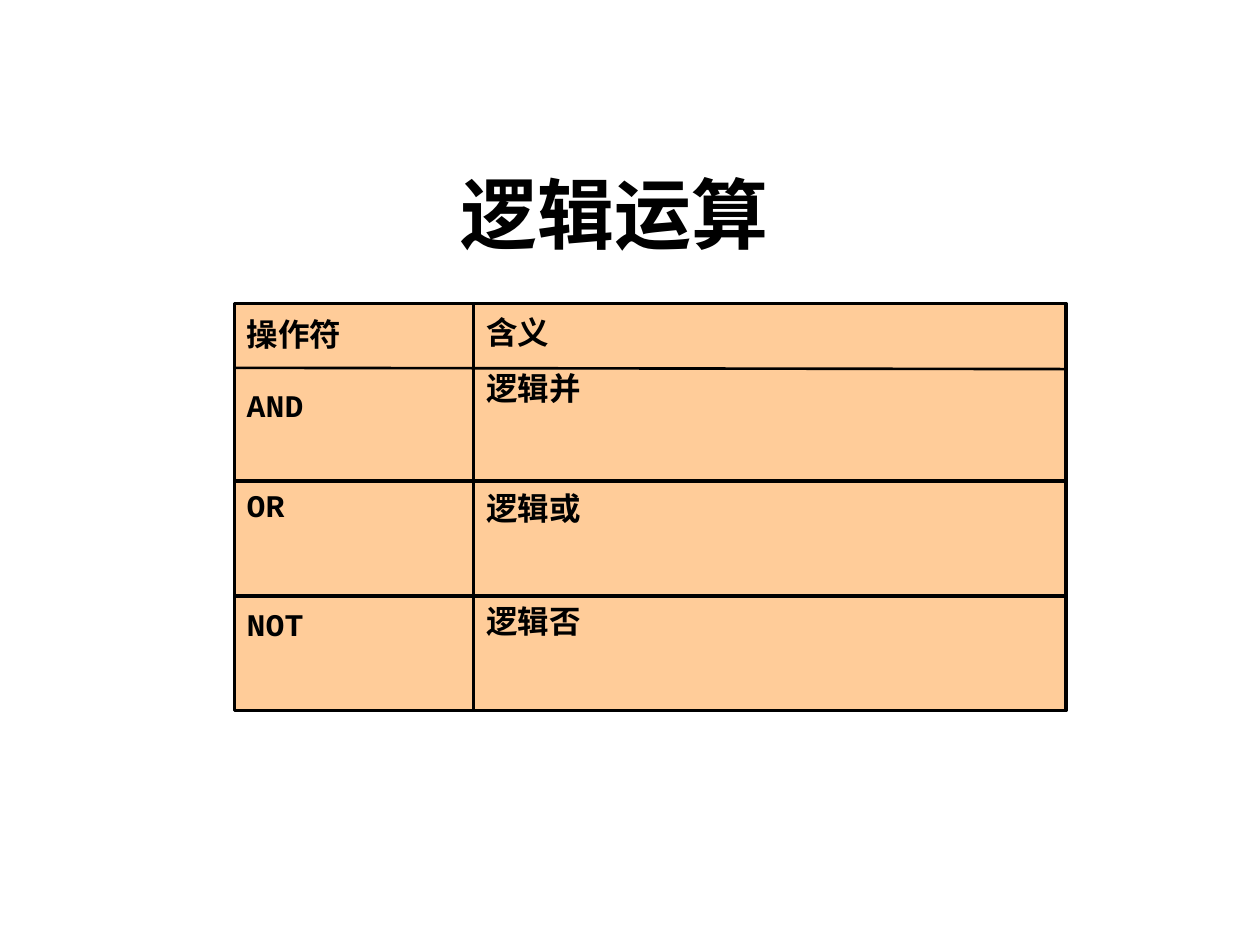
from dataclasses import dataclass

from lxml.etree import SubElement
from pptx import Presentation
from pptx.dml.color import RGBColor
from pptx.enum.shapes import MSO_CONNECTOR, MSO_SHAPE
from pptx.enum.text import MSO_ANCHOR, PP_ALIGN
from pptx.oxml.ns import qn
from pptx.util import Pt


@dataclass(frozen=True)
class Theme:
    ink: RGBColor = RGBColor(0x00, 0x00, 0x00)
    fill: RGBColor = RGBColor(0xFF, 0xCC, 0x99)
    han: str = "Noto Sans CJK SC"
    sans: str = "Arial"
    mono: str = "Courier New"
    head: int = 44
    body: int = 18
    thin: float = 1.5
    thick: float = 2


THEME = Theme()
# Each entry holds its text and the gap above it.
SIGNS = (("操作符", 0), ("AND", 18.8), ("OR", 35.6), ("NOT", 46.4))
SENSES = (("含义", 0), ("逻辑并", 9.9), ("逻辑或", 47.1), ("逻辑否", 43))
# Each panel holds its offset, width, top inset and entries.
PANELS = ((0, 138.2, 6.8, SIGNS), (136.8, 338.4, 5.6, SENSES))
# Each rule holds its start and end heights, its length and its weight.
RULES = (
    (36.7, 37.4, 474.5, THEME.thin),
    (101.5, 101.5, 475.2, THEME.thick),
    (167, 167, 475.9, THEME.thick),
)


def add_run(para, text, size, face):
    run = para.add_run()
    run.text = text
    font = run.font
    font.size, font.bold, font.name = Pt(size), True, face
    font.color.rgb = THEME.ink
    SubElement(run._r.get_or_add_rPr(), qn("a:ea"), typeface=THEME.han)


def add_title(slide, text, left, top, width, height):
    frame = slide.shapes.add_textbox(
        Pt(left), Pt(top), Pt(width), Pt(height)).text_frame
    frame.word_wrap = True
    frame.vertical_anchor = MSO_ANCHOR.TOP
    para = frame.paragraphs[0]
    para.alignment = PP_ALIGN.CENTER
    add_run(para, text, THEME.head, THEME.han)


def add_panel(slide, left, top, width, height, inset, items):
    """Draw one filled column and list its entries."""
    panel = slide.shapes.add_shape(
        MSO_SHAPE.RECTANGLE, Pt(left), Pt(top), Pt(width), Pt(height))
    panel.shadow.inherit = False
    panel.fill.solid()
    panel.fill.fore_color.rgb = THEME.fill
    panel.line.color.rgb = THEME.ink
    panel.line.width = Pt(THEME.thick)
    frame = panel.text_frame
    frame.word_wrap = True
    frame.vertical_anchor = MSO_ANCHOR.TOP
    frame.margin_top = Pt(inset)
    for i, (text, gap) in enumerate(items):
        para = frame.add_paragraph() if i else frame.paragraphs[0]
        para.alignment = PP_ALIGN.LEFT
        para.space_before = Pt(gap)
        face = THEME.mono if text.isascii() else THEME.sans
        add_run(para, text, THEME.body, face)


def add_rule(slide, left, start, end, length, weight):
    rule = slide.shapes.add_connector(
        MSO_CONNECTOR.STRAIGHT, Pt(left), Pt(start),
        Pt(left + length), Pt(end))
    rule.line.color.rgb = THEME.ink
    rule.line.width = Pt(weight)
    SubElement(rule._element.spPr, qn("a:effectLst"))


def add_grid(slide, left, top, height):
    for shift, width, inset, items in PANELS:
        add_panel(slide, left + shift, top, width, height, inset, items)
    for start, end, length, weight in RULES:
        add_rule(slide, left, top + start, top + end, length, weight)


def main():
    deck = Presentation()
    deck.slide_width, deck.slide_height = Pt(720), Pt(540)
    slide = deck.slides.add_slide(deck.slide_layouts[6])
    add_title(slide, "逻辑运算", 48.2, 91.4, 606.2, 113)
    add_grid(slide, 133.9, 173.5, 232.6)
    deck.save("out.pptx")


if __name__ == "__main__":
    main()
